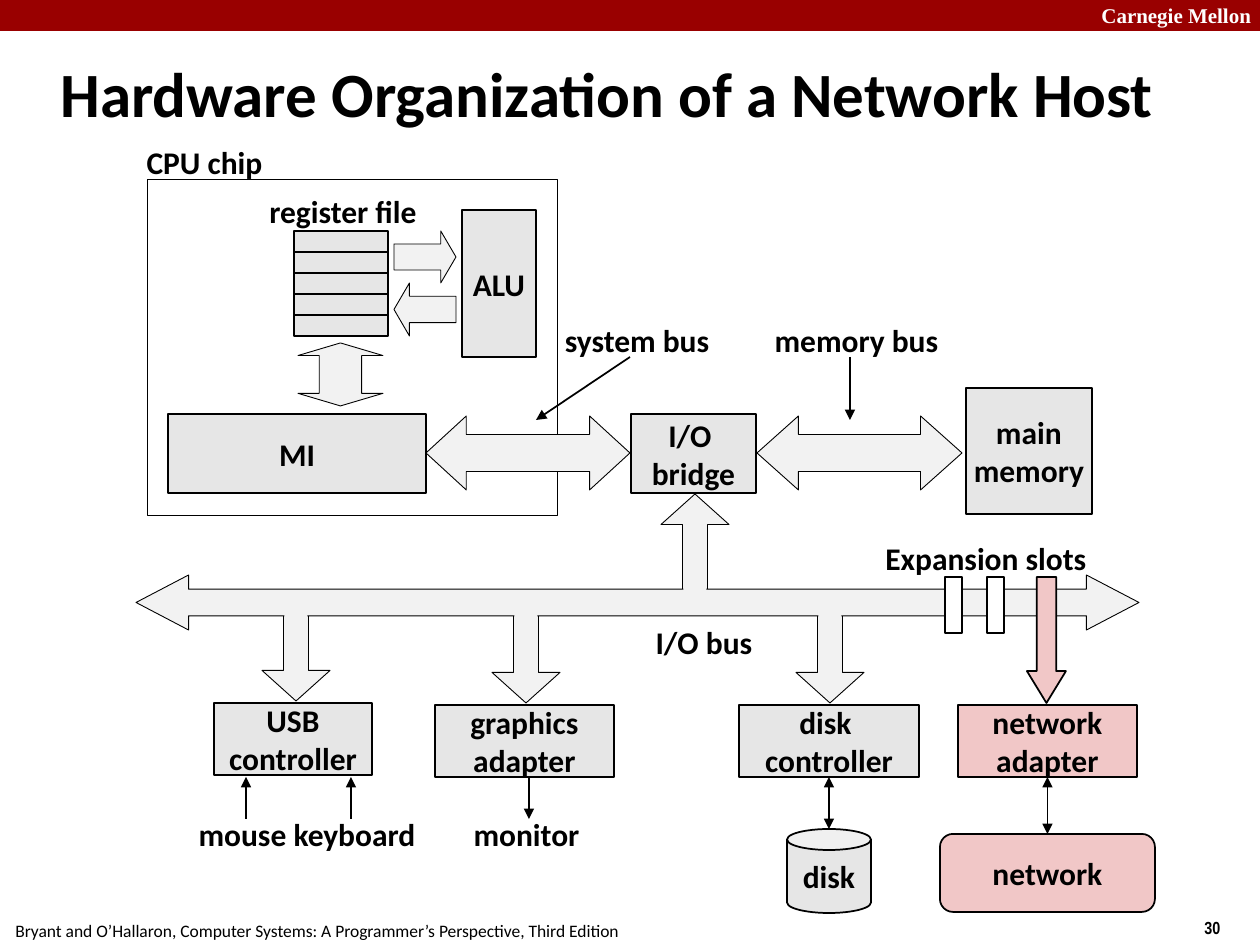
from dataclasses import dataclass
from pptx import Presentation, util as u
from pptx.dml.color import RGBColor
from pptx.enum import shapes, text
from pptx.oxml.ns import qn
from lxml import etree

S = shapes.MSO_SHAPE
PX = 914400 / 126


@dataclass
class Theme:
    bar: str = "990000"
    grey: str = "E6E6E6"
    pale: str = "F2F2F2"
    pink: str = "F1C7C7"
    white: str = "FFFFFF"
    black: str = "000000"
    font: str = "Calibri"
    title: int = 36
    body: int = 18
    brand: int = 12
    foot: int = 10
    hair: float = 0.25
    thin: float = 0.5
    bold: float = 1


T = Theme()

FRAME = (147, 179, 410, 336)
CELLS = {"count": 5, "x": 294, "y": 231, "w": 94, "h": 21}
STEM = {"w": 68, "adj": (0.367, 0.449), "patch": (23, 21)}
STEMS = [
    (S.DOWN_ARROW, 262, 602, 99, 600),
    (S.DOWN_ARROW, 492, 605, 98, 597),
    (S.DOWN_ARROW, 796, 605, 98, 596),
    (S.UP_ARROW, 661, 494, 105, 588),
]
ARROWS = [
    (S.LEFT_RIGHT_ARROW, (757, 416, 205, 74), (0.5, 0.56)),
    (S.LEFT_RIGHT_ARROW, (426, 416, 204, 74), (0.5, 0.545)),
    (S.RIGHT_ARROW, (394, 231, 62, 52), (0.5, 0.292)),
    (S.LEFT_ARROW, (394, 283, 62, 53), (0.5, 0.292)),
    (S.UP_DOWN_ARROW, (298, 343, 85, 63), (0.5, 0.2)),
    (S.LEFT_RIGHT_ARROW, (136, 575, 1003, 55), (0.486, 0.955)),
]
SLOTS = [(945, 577, 17, 56), (987, 577, 17, 56)]
CARD = (1027, 577, 39, 126)
BOXES = [
    ("memory", S.RECTANGLE, (966, 388, 126, 126), "main\nmemory", T.grey, ()),
    ("bridge", S.RECTANGLE, (631, 414, 125, 79), "I/O \nbridge", T.grey, ()),
    ("bus unit", S.RECTANGLE, (168, 414, 258, 79), "MI", T.grey, ()),
    ("alu", S.RECTANGLE, (462, 210, 74, 147), "ALU", T.grey, ()),
    ("disk control", S.RECTANGLE, (739, 705, 180, 72), "disk \ncontroller", T.grey, ()),
    ("graphics", S.RECTANGLE, (435, 705, 179, 72), "graphics\nadapter", T.grey, ()),
    ("usb", S.RECTANGLE, (214, 703, 158, 72), "USB\ncontroller", T.grey, ()),
    ("disk", S.CAN, (787, 829, 84, 84), "disk", T.grey, (0.25,)),
    ("adapter", S.RECTANGLE, (958, 705, 179, 72), "network\nadapter", T.pink, ()),
    ("network", S.ROUNDED_RECTANGLE, (940, 834, 215, 78), "network", T.pink, (0.167,)),
]
LABELS = [
    ("register file", 256, 186, 174),
    ("CPU chip", 134, 137, 141),
    ("system bus", 552, 315, 170),
    ("memory bus", 762, 315, 189),
    ("mouse", 186, 809, 113),
    ("keyboard", 280, 809, 149),
    ("monitor", 461, 809, 131),
    ("I/O bus", 640, 617, 128),
    ("Expansion slots", 873, 533, 226),
]
LINES = [
    ((630, 357), (536, 420), ("tailEnd",), None, None),
    ((850, 357), (850, 420), ("tailEnd",), None, None),
    ((246, 777), (246, 819), ("headEnd",), None, None),
    ((351, 777), (351, 819), ("headEnd",), None, None),
    ((529, 777), (529, 819), ("tailEnd",), None, None),
    ((829, 777), (829, 829), ("headEnd", "tailEnd"), "disk control", None),
    ((1047, 778), (1047, 830), ("headEnd", "tailEnd"), "adapter", "network"),
]
NOTES = [
    ("Carnegie Mellon", (1089, -4, 180, 38), T.brand, "Times New Roman", T.white, True),
    ("30", (1192, 911, 66, 34), T.foot, "Arial Narrow", T.black, True),
    ("Bryant and O’Hallaron, Computer Systems: A Programmer’s Perspective, Third Edition",
     (3, 914, 640, 34), T.foot, T.font, T.black, False),
]

deck = Presentation()
deck.slide_width, deck.slide_height = u.Inches(10), u.Inches(7.5)
slide = deck.slides.add_slide(deck.slide_layouts[6])


def emu(*vals):
    return [round(v * PX) for v in vals]


def rgb(tint):
    return RGBColor.from_string(tint)


def write(shape, words, size=T.body, font=T.font, tint=T.black, bold=True,
          align=text.PP_ALIGN.CENTER, anchor=text.MSO_ANCHOR.MIDDLE, wrap=False):
    frame = shape.text_frame
    frame.text = words
    frame.word_wrap = wrap
    frame.vertical_anchor = anchor
    for para in frame.paragraphs:
        para.alignment = align
        for run in para.runs:
            run.font.name, run.font.size = font, u.Pt(size)
            run.font.bold = bold
            run.font.color.rgb = rgb(tint)


def bend(shape, adj):
    guides = shape._element.spPr.find(qn("a:prstGeom")).get_or_add_avLst()
    for guide in list(guides):
        guides.remove(guide)
    for i, val in enumerate(adj, 1):
        name = f"adj{i}" if len(adj) > 1 else "adj"
        etree.SubElement(guides, qn("a:gd"), name=name, fmla=f"val {round(val * 100000)}")


def draw(kind, box, fill=None, width=None, adj=()):
    shape = slide.shapes.add_shape(kind, *emu(*box))
    shape.shadow.inherit = False
    if fill:
        shape.fill.solid()
        shape.fill.fore_color.rgb = rgb(fill)
    else:
        shape.fill.background()
    if width:
        shape.line.color.rgb = rgb(T.black)
        shape.line.width = u.Pt(width)
    else:
        shape.line.fill.background()
    if adj:
        bend(shape, adj)
    return shape


def label(words, box, **style):
    shape = slide.shapes.add_textbox(*emu(*box))
    write(shape, words, **style)
    return shape


def link(start, end, heads, first, last):
    line = slide.shapes.add_connector(shapes.MSO_CONNECTOR.STRAIGHT, *emu(*start, *end))
    line.line.color.rgb = rgb(T.black)
    line.line.width = u.Pt(T.bold)
    stroke = line.line._get_or_add_ln()
    for head in heads:
        etree.SubElement(stroke, qn("a:" + head), type="triangle")
    etree.SubElement(line._element.spPr, qn("a:effectLst"))
    if first:
        line.begin_connect(parts[first], 2)
    if last:
        line.end_connect(parts[last], 0)


draw(S.RECTANGLE, (0, 0, 1260, 31), T.bar)
for words, box, size, font, tint, bold in NOTES:
    label(words, box, size=size, font=font, tint=tint, bold=bold, wrap=True,
          align=text.PP_ALIGN.LEFT, anchor=text.MSO_ANCHOR.TOP)
label("Hardware Organization of a Network Host", (48, 39, 1201, 107),
      size=T.title, align=text.PP_ALIGN.LEFT, wrap=True)

draw(S.RECTANGLE, FRAME, width=T.hair)
for i in range(CELLS["count"]):
    top = CELLS["y"] + i * CELLS["h"]
    draw(S.RECTANGLE, (CELLS["x"], top, CELLS["w"], CELLS["h"]), T.grey, T.bold)

for kind, x, y, h, _ in STEMS:
    draw(kind, (x, y, STEM["w"], h), T.pale, T.thin, STEM["adj"])
for kind, box, adj in ARROWS:
    draw(kind, box, T.pale, T.thin, adj)
for _, x, _, _, y in STEMS:
    w, h = STEM["patch"]
    draw(S.RECTANGLE, (x + (STEM["w"] - w) / 2, y, w, h), T.pale)

for box in SLOTS:
    draw(S.RECTANGLE, box, T.white, T.bold)
draw(S.DOWN_ARROW, CARD, T.pink, T.bold, (0.5, 0.818))

parts = {}
for name, kind, box, words, fill, adj in BOXES:
    parts[name] = draw(kind, box, fill, T.bold, adj)
    write(parts[name], words)
for words, x, y, w in LABELS:
    tag = label(words, (x, y, w, 50))
    tag.text_frame.auto_size = text.MSO_AUTO_SIZE.SHAPE_TO_FIT_TEXT
for row in LINES:
    link(*row)

deck.save("out.pptx")
